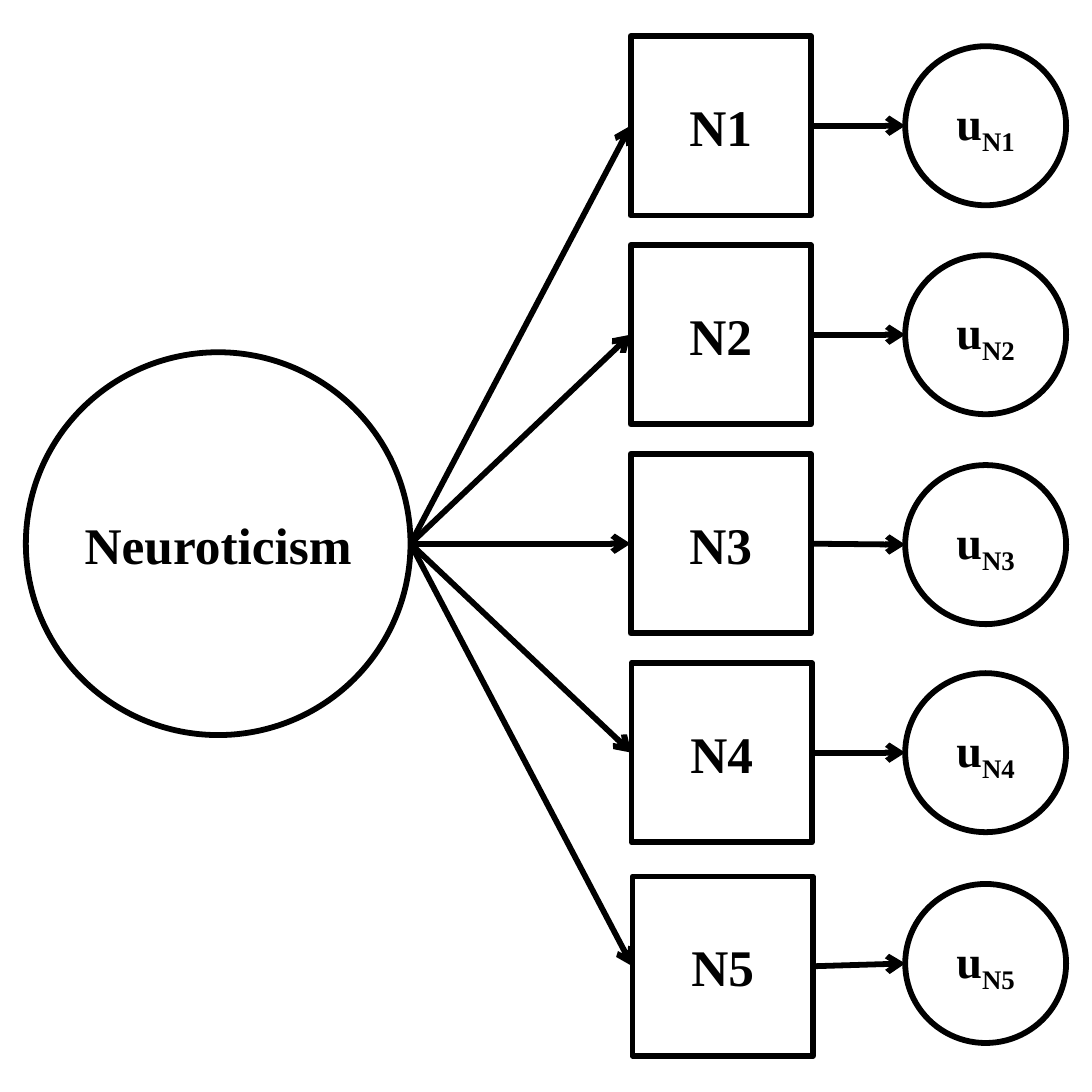
"""Draw a one-factor measurement model: Neuroticism, five items and their error terms."""
from dataclasses import dataclass

from lxml import etree
from pptx import Presentation
from pptx.dml.color import RGBColor
from pptx.enum import shapes, text
from pptx.oxml.ns import qn
from pptx.util import Inches, Pt


@dataclass(frozen=True)
class Theme:
    font: str = "Times New Roman"
    ink: RGBColor = RGBColor(0, 0, 0)
    paper: RGBColor = RGBColor(255, 255, 255)
    line_width: float = 4.5
    label_size: int = 40
    error_size: int = 36
    subscript: int = -25000


@dataclass(frozen=True)
class Node:
    kind: shapes.MSO_SHAPE
    left: float
    top: float
    width: float
    height: float
    label: str
    size: int
    insets: tuple[float, float]
    subscript: str = ""

    @property
    def middle(self) -> float:
        return self.top + self.height / 2

    @property
    def right(self) -> float:
        return self.left + self.width


THEME = Theme()
SLIDE_SIDE = 11.81
ITEM_PLACES = [(6.82, 0.39), (6.82, 2.65), (6.82, 4.91), (6.83, 7.17), (6.84, 9.48)]
ERROR_TOPS = [0.5, 2.76, 5.03, 7.28, 9.56]


def add_label(paragraph, node: Node) -> None:
    """Write the node's label and its subscript, if any."""
    formats = {"name": THEME.font, "size": Pt(node.size), "bold": True}
    for content, baseline in ((node.label, 0), (node.subscript, THEME.subscript)):
        if not content:
            continue
        run = paragraph.add_run()
        run.text = content
        for name, value in formats.items():
            setattr(run.font, name, value)
        run.font.color.rgb = THEME.ink
        if baseline:
            run._r.get_or_add_rPr().set("baseline", str(baseline))


def add_node(slide, node: Node) -> None:
    """Draw one outlined node with centred text."""
    bounds = (Inches(v) for v in (node.left, node.top, node.width, node.height))
    shape = slide.shapes.add_shape(node.kind, *bounds)
    shape.shadow.inherit = False
    shape.fill.solid()
    shape.fill.fore_color.rgb = THEME.paper
    shape.line.color.rgb = THEME.ink
    shape.line.width = Pt(THEME.line_width)
    side, end = (Inches(inset) for inset in node.insets)
    frame_formats = {
        "margin_left": side,
        "margin_right": side,
        "margin_top": end,
        "margin_bottom": end,
        "vertical_anchor": text.MSO_ANCHOR.MIDDLE,
        "word_wrap": True,
    }
    for name, value in frame_formats.items():
        setattr(shape.text_frame, name, value)
    paragraph = shape.text_frame.paragraphs[0]
    paragraph.alignment = text.PP_ALIGN.CENTER
    add_label(paragraph, node)


def add_arrow(slide, source: Node, target: Node) -> None:
    """Draw an arrow from the right of one node to the left of another."""
    ends = (source.right, source.middle, target.left, target.middle)
    connector = slide.shapes.add_connector(
        shapes.MSO_CONNECTOR.STRAIGHT, *(Inches(value) for value in ends)
    )
    connector.line.color.rgb = THEME.ink
    connector.line.width = Pt(THEME.line_width)
    properties = connector._element.spPr
    outline = properties.find(qn("a:ln"))
    etree.SubElement(outline, qn("a:tailEnd"), type="arrow")
    etree.SubElement(properties, qn("a:effectLst"))


def main() -> None:
    """Build and save the slide."""
    presentation = Presentation()
    presentation.slide_width = presentation.slide_height = Inches(SLIDE_SIDE)
    slide = presentation.slides.add_slide(presentation.slide_layouts[6])

    square, circle = shapes.MSO_SHAPE.RECTANGLE, shapes.MSO_SHAPE.OVAL
    factor = Node(circle, 0.28, 3.81, 4.16, 4.14, "Neuroticism", THEME.label_size, (0, 0.05))
    items = [
        Node(square, left, top, 1.95, 1.94, f"N{number}", THEME.label_size, (0.06, 0.03))
        for number, (left, top) in enumerate(ITEM_PLACES, 1)
    ]
    errors = [
        Node(circle, 9.79, top, 1.74, 1.72, "u", THEME.error_size, (0.1, 0.05), item.label)
        for top, item in zip(ERROR_TOPS, items)
    ]

    for node in (factor, *items, *errors):
        add_node(slide, node)
    for item in items:
        add_arrow(slide, factor, item)
    for item, error in zip(items, errors):
        add_arrow(slide, item, error)
    presentation.save("out.pptx")


if __name__ == "__main__":
    main()
